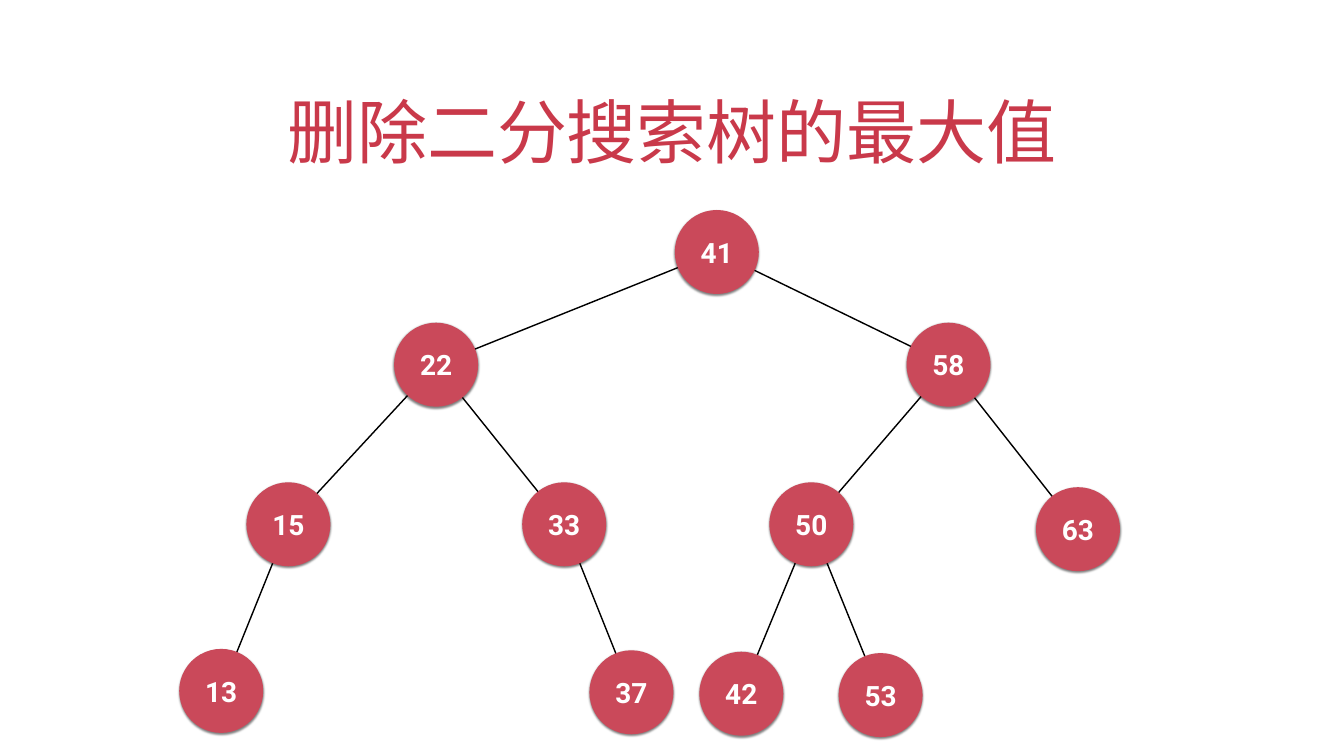
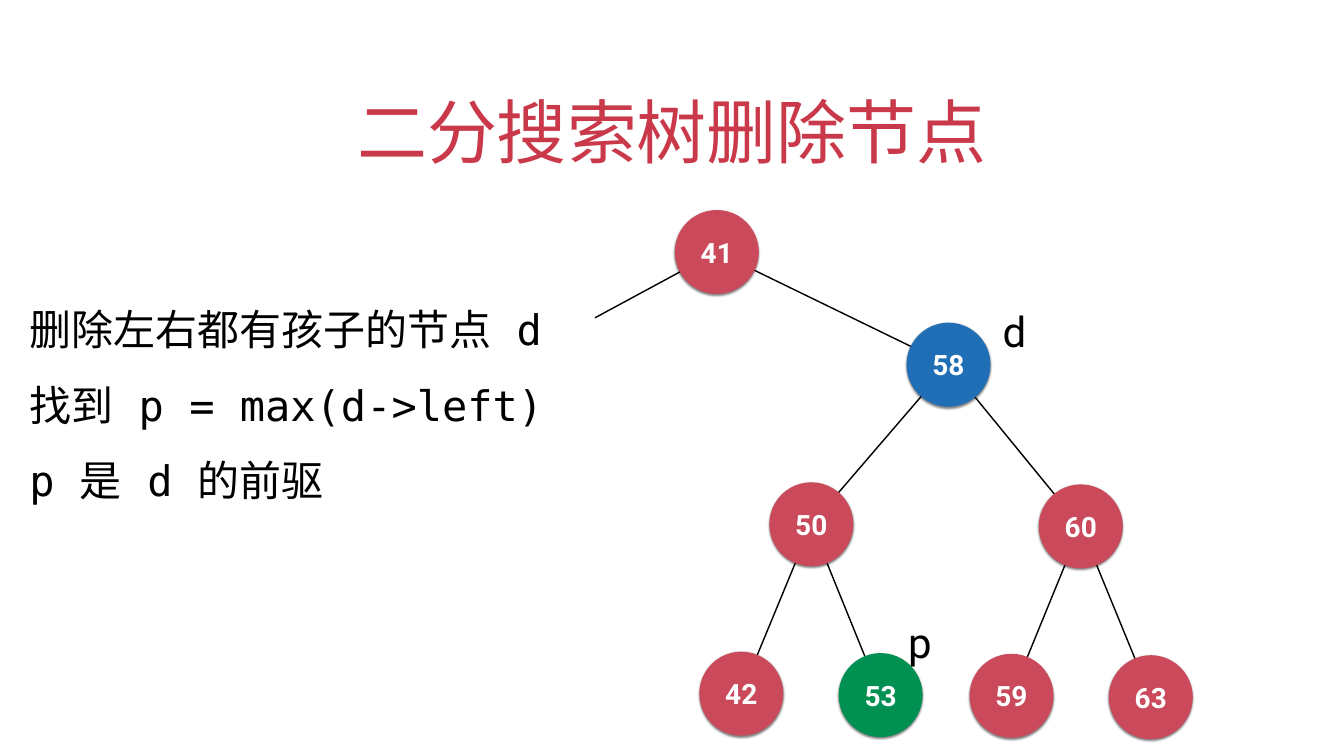
from lxml.etree import SubElement
from pptx import Presentation
from pptx.dml.color import RGBColor
from pptx.enum.shapes import MSO_CONNECTOR, MSO_SHAPE
from pptx.enum.text import MSO_ANCHOR, MSO_AUTO_SIZE, PP_ALIGN
from pptx.oxml.ns import qn
from pptx.util import Pt

COLORS = {
    "title": "C9394A",
    "node": "CA495A",
    "deleted": "1F6EB6",
    "predecessor": "009051",
    "label": "FFFFFF",
    "ink": "000000",
}
SANS, MONO = "Roboto", "DejaVu Sans Mono"
NODE, INSET = 120, 4.5
TITLE_BOX = (140, 91.5, 1640, 160)
TREE_BOX = (240, 300)
NOTES_BOX = (37.5, 330.5, 883, 676)
NOTES_PITCH = 109

SHARED = {
    41: (724, 0, None),
    58: (1055, 161, 41),
    50: (859, 389, 58),
    42: (759, 631, 50),
    53: (958, 633, 50),
}
FULL_TREE = SHARED | {
    22: (323, 161, 41),
    15: (112, 389, 22),
    33: (506, 389, 22),
    63: (1240, 396, 58),
    13: (16, 627, 15),
    37: (602, 629, 33),
}
RIGHT_TREE = SHARED | {
    60: (1244, 392, 58),
    59: (1145, 634, 60),
    63: (1344, 636, 60),
}


def rgb(name):
    """Return the named palette colour."""
    return RGBColor.from_string(COLORS[name])


def set_text(sp, lines, size, color, font=SANS, align=PP_ALIGN.LEFT,
             anchor=MSO_ANCHOR.MIDDLE, bold=False, spacing=None):
    """Fill a shape with one styled paragraph per line."""
    tf = sp.text_frame
    tf.word_wrap = True
    tf.vertical_anchor = anchor
    tf.margin_left = tf.margin_right = Pt(INSET)
    tf.margin_top = tf.margin_bottom = Pt(INSET)
    for i, line in enumerate(lines):
        p = tf.add_paragraph() if i else tf.paragraphs[0]
        p.alignment = align
        p.line_spacing = spacing
        r = p.add_run()
        r.text = line
        r.font.size = Pt(size)
        r.font.bold = bold
        r.font.color.rgb = rgb(color)
        r.font.name = font
        SubElement(r.font._element, qn("a:ea"), typeface=font)
    return tf


def add_textbox(shapes, box):
    """Add a text box at a box given in points."""
    return shapes.add_textbox(*map(Pt, box))


def add_title(slide, text):
    """Add the centred slide title."""
    set_text(add_textbox(slide.shapes, TITLE_BOX), [text], 100, "title",
             align=PP_ALIGN.CENTER, anchor=MSO_ANCHOR.BOTTOM)


def add_edge(shapes, start, end):
    """Draw a plain black edge between two points."""
    cx = shapes.add_connector(MSO_CONNECTOR.STRAIGHT, *map(Pt, start + end))
    cx.line.color.rgb = rgb("ink")
    cx.line.width = Pt(2)
    SubElement(cx._element.spPr, qn("a:effectLst"))


def add_node(shapes, x, y, value, color):
    """Draw a round tree node with a soft shadow below it."""
    sp = shapes.add_shape(MSO_SHAPE.OVAL, Pt(x), Pt(y), Pt(NODE), Pt(NODE))
    sp.fill.solid()
    sp.fill.fore_color.rgb = rgb(color)
    sp.line.fill.background()
    sp.shadow.inherit = False
    effects = sp._element.spPr.find(qn("a:effectLst"))
    shadow = SubElement(effects, qn("a:outerShdw"), blurRad=str(Pt(3)),
                        dist=str(Pt(2)), dir="5400000", rotWithShape="0")
    clr = SubElement(shadow, qn("a:srgbClr"), val=COLORS["ink"])
    SubElement(clr, qn("a:alpha"), val="50000")
    set_text(sp, [str(value)], 40, "label", align=PP_ALIGN.CENTER, bold=True)


def add_tree(shapes, box, nodes, marks=None, stub=None):
    """Draw a tree relative to its box, edges below the nodes."""
    left, top = box
    marks = marks or {}
    centers = {v: (left + x + NODE / 2, top + y + NODE / 2)
               for v, (x, y, _) in nodes.items()}
    if stub:
        add_edge(shapes, (left + stub[0], top + stub[1]), centers[41])
    for value, (_, _, parent) in nodes.items():
        if parent:
            add_edge(shapes, centers[value], centers[parent])
    for value, (x, y, _) in nodes.items():
        add_node(shapes, left + x, top + y, value, marks.get(value, "node"))


def add_pointer(shapes, box, x, y, name):
    """Label a node with a pointer name, relative to the tree box."""
    sp = add_textbox(shapes, (box[0] + x, box[1] + y, 61, 80))
    tf = set_text(sp, [name], 60, "ink", spacing=1.5)
    tf.auto_size = MSO_AUTO_SIZE.SHAPE_TO_FIT_TEXT


def add_notes(slide, box, lines):
    """Write the explanation, raised by two line pitches of bottom inset."""
    tf = set_text(add_textbox(slide.shapes, box), lines, 60, "ink",
                  font=MONO, spacing=1.5)
    tf.margin_bottom = Pt(INSET + 2 * NOTES_PITCH)


def build_remove_max(slide):
    """Build the slide on removing the maximum."""
    add_title(slide, "删除二分搜索树的最大值")
    add_tree(slide.shapes.add_group_shape().shapes, TREE_BOX, FULL_TREE)


def build_remove_node(slide):
    """Build the slide on removing a node with two children."""
    add_title(slide, "二分搜索树删除节点")
    add_tree(slide.shapes, TREE_BOX, RIGHT_TREE,
             marks={58: "deleted", 53: "predecessor"}, stub=(610, 154))
    add_notes(slide, NOTES_BOX, [
        "删除左右都有孩子的节点 d",
        "找到 p = max(d->left)",
        "p 是 d 的前驱",
    ])
    add_pointer(slide.shapes, TREE_BOX, 1188, 115, "d")
    add_pointer(slide.shapes, TREE_BOX, 1053, 559, "p")


def main():
    """Build and save the presentation."""
    prs = Presentation()
    prs.slide_width, prs.slide_height = Pt(1920), Pt(1080)
    for build in (build_remove_max, build_remove_node):
        build(prs.slides.add_slide(prs.slide_layouts[6]))
    prs.save("out.pptx")


if __name__ == "__main__":
    main()
